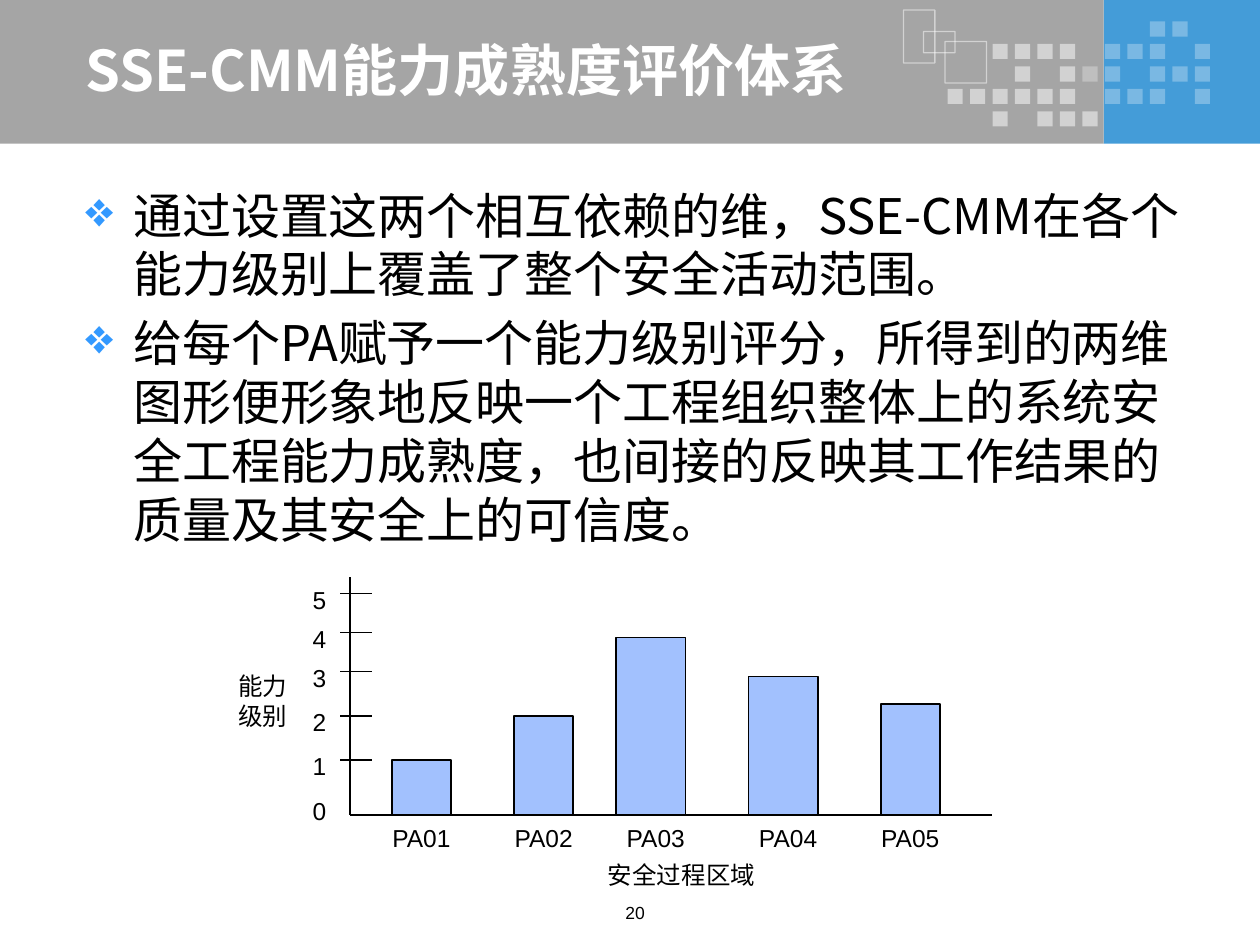
from lxml import etree
from pptx import Presentation
from pptx.dml.color import RGBColor
from pptx.enum.shapes import MSO_CONNECTOR as Connector, MSO_SHAPE as Shape
from pptx.enum.text import MSO_ANCHOR as Anchor, PP_ALIGN as Align
from pptx.oxml.ns import qn
from pptx.util import Inches, Pt

WHITE = RGBColor(0xFF, 0xFF, 0xFF)
BLACK = RGBColor(0, 0, 0)
GREY = RGBColor(0xA5, 0xA5, 0xA5)
BLUE = RGBColor(0x44, 0x9C, 0xD8)
BAR_BLUE = RGBColor(0xA2, 0xC1, 0xFE)
BULLET_BLUE = RGBColor(0x33, 0x99, 0xFF)
LATIN, CHINESE = "Arial", "Noto Sans CJK SC"


class SlideBuilder:
    def __init__(self, page):
        self.page = page

    def set_alpha(self, fill, color, alpha):
        fill.solid()
        fill.fore_color.rgb = color
        if alpha < 100:
            # The colour element is the only srgbClr below the new fill
            color_node = fill._xPr.find(qn("a:solidFill")).find(qn("a:srgbClr"))
            etree.SubElement(color_node, qn("a:alpha"), val=str(alpha * 1000))

    def rect(self, left, top, width, height, fill=None, line=None, weight=1, alpha=100):
        box = self.page.shapes.add_shape(
            Shape.RECTANGLE, Inches(left), Inches(top), Inches(width), Inches(height))
        box.shadow.inherit = False
        if fill is None:
            box.fill.background()
        else:
            self.set_alpha(box.fill, fill, alpha)
        if line is None:
            box.line.fill.background()
        else:
            box.line.width = Pt(weight)
            self.set_alpha(box.line.fill, line, alpha)

    def line(self, x1, y1, x2, y2):
        link = self.page.shapes.add_connector(
            Connector.STRAIGHT, Inches(x1), Inches(y1), Inches(x2), Inches(y2))
        link.line.color.rgb = BLACK
        link.line.width = Pt(1)
        etree.SubElement(link._element.spPr, qn("a:effectLst"))

    def text(self, left, top, width, height, lines, size=14, font=LATIN, color=BLACK,
             bold=False, align=Align.CENTER, anchor=Anchor.TOP, wrap=False, bullet=None):
        box = self.page.shapes.add_textbox(
            Inches(left), Inches(top), Inches(width), Inches(height))
        frame = box.text_frame
        frame.word_wrap = wrap
        frame.vertical_anchor = anchor
        style = {"size": Pt(size), "name": font, "bold": bold}
        for index, line in enumerate(lines):
            para = frame.paragraphs[0] if index == 0 else frame.add_paragraph()
            para.alignment = align
            span = para.add_run()
            span.text = line
            for name, value in style.items():
                setattr(span.font, name, value)
            span.font.color.rgb = color
            etree.SubElement(span.font._element, qn("a:ea"), typeface=CHINESE)
            if bullet:
                self.bullet(para, bullet, size)

    def bullet(self, para, mark, size):
        para.space_before = Pt(size * 0.2)
        props = para._p.get_or_add_pPr()
        props.set("marL", str(Inches(0.38)))
        props.set("indent", str(-Inches(0.38)))
        tint = etree.SubElement(props, qn("a:buClr"))
        etree.SubElement(tint, qn("a:srgbClr"), val=str(BULLET_BLUE))
        etree.SubElement(props, qn("a:buChar"), char=mark)


deck = Presentation()
deck.slide_width, deck.slide_height = Inches(10), Inches(7.5)
slide = SlideBuilder(deck.slides.add_slide(deck.slide_layouts[6]))

# Header band
slide.rect(8.76, 0, 1.24, 1.14, BLUE)
slide.rect(0, 0, 8.76, 1.14, GREY)

# Mosaic: "#" is a bright square, "o" a faint one
MOSAIC = [
    ".........oo.",
    "..####.ooo.o",
    "...#.#oo.ooo",
    "######.ooo.o",
    "..#.###.....",
]
MOSAIC_ALPHA = {"#": 50, "o": 29}
PITCH = 0.1785
for row, marks in enumerate(MOSAIC):
    for column, mark in enumerate(marks):
        if mark in MOSAIC_ALPHA:
            slide.rect(7.52 + column * PITCH, 0.17 + row * PITCH, 0.12, 0.12,
                       WHITE, alpha=MOSAIC_ALPHA[mark])

# Outlined frames
for frame_place in [(7.17, 0.08, 0.25, 0.42), (7.33, 0.25, 0.25, 0.17), (7.5, 0.33, 0.33, 0.33)]:
    slide.rect(*frame_place, line=WHITE, weight=0.75, alpha=50)

# Title and body
slide.text(0.58, 0.28, 7.76, 0.53, ["SSE-CMM能力成熟度评价体系"], size=32, font=CHINESE,
           color=WHITE, bold=True, align=Align.LEFT, anchor=Anchor.MIDDLE, wrap=True)
slide.text(0.58, 1.42, 8.96, 5.58, [
    "通过设置这两个相互依赖的维，SSE-CMM在各个能力级别上覆盖了整个安全活动范围。",
    "给每个PA赋予一个能力级别评分，所得到的两维图形便形象地反映一个工程组织整体上的系统"
    "安全工程能力成熟度，也间接的反映其工作结果的质量及其安全上的可信度。",
], size=28, font=CHINESE, align=Align.LEFT, wrap=True, bullet="❖")

# Diagram axes, with a tick at each level above zero
AXIS_X, BASE_Y = 2.78, 6.47
slide.line(AXIS_X, 4.58, AXIS_X, BASE_Y)
slide.line(AXIS_X, BASE_Y, 7.87, BASE_Y)
LEVEL_Y = [6.39, 6.03, 5.68, 5.33, 5.02, 4.71]
for level, y in enumerate(LEVEL_Y):
    slide.text(2.35, y - 0.12, 0.37, 0.33, [str(level)])
    if level:
        slide.line(2.7, y, 2.95, y)

# Bars: left, top, width, label left
BARS = [
    (3.11, 6.03, 0.47, 2.93),
    (4.08, 5.68, 0.47, 3.90),
    (4.89, 5.06, 0.55, 4.79),
    (5.94, 5.37, 0.55, 5.84),
    (6.99, 5.59, 0.47, 6.81),
]
for number, (left, top, width, label_left) in enumerate(BARS, 1):
    slide.rect(left, top, width, BASE_Y - top, BAR_BLUE, BLACK)
    slide.text(label_left, 6.48, 0.83, 0.33, [f"PA{number:02}"])

# Axis titles and page number
slide.text(1.73, 5.28, 0.71, 0.57, ["能力", "级别"])
slide.text(4.59, 6.78, 1.64, 0.33, ["安全过程区域"])
slide.text(4.58, 7.11, 0.92, 0.29, ["20"], size=10, wrap=True)

deck.save("out.pptx")
